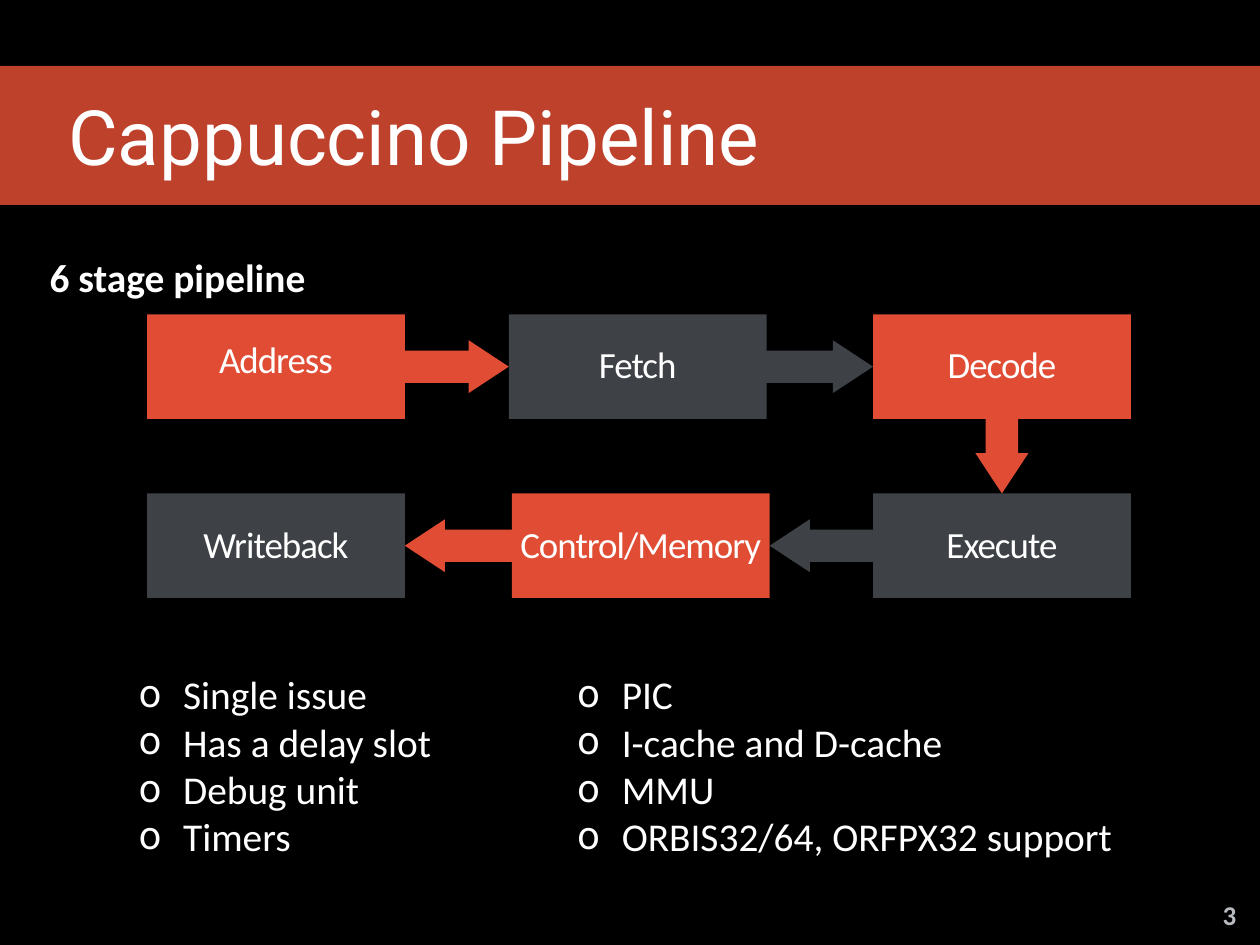
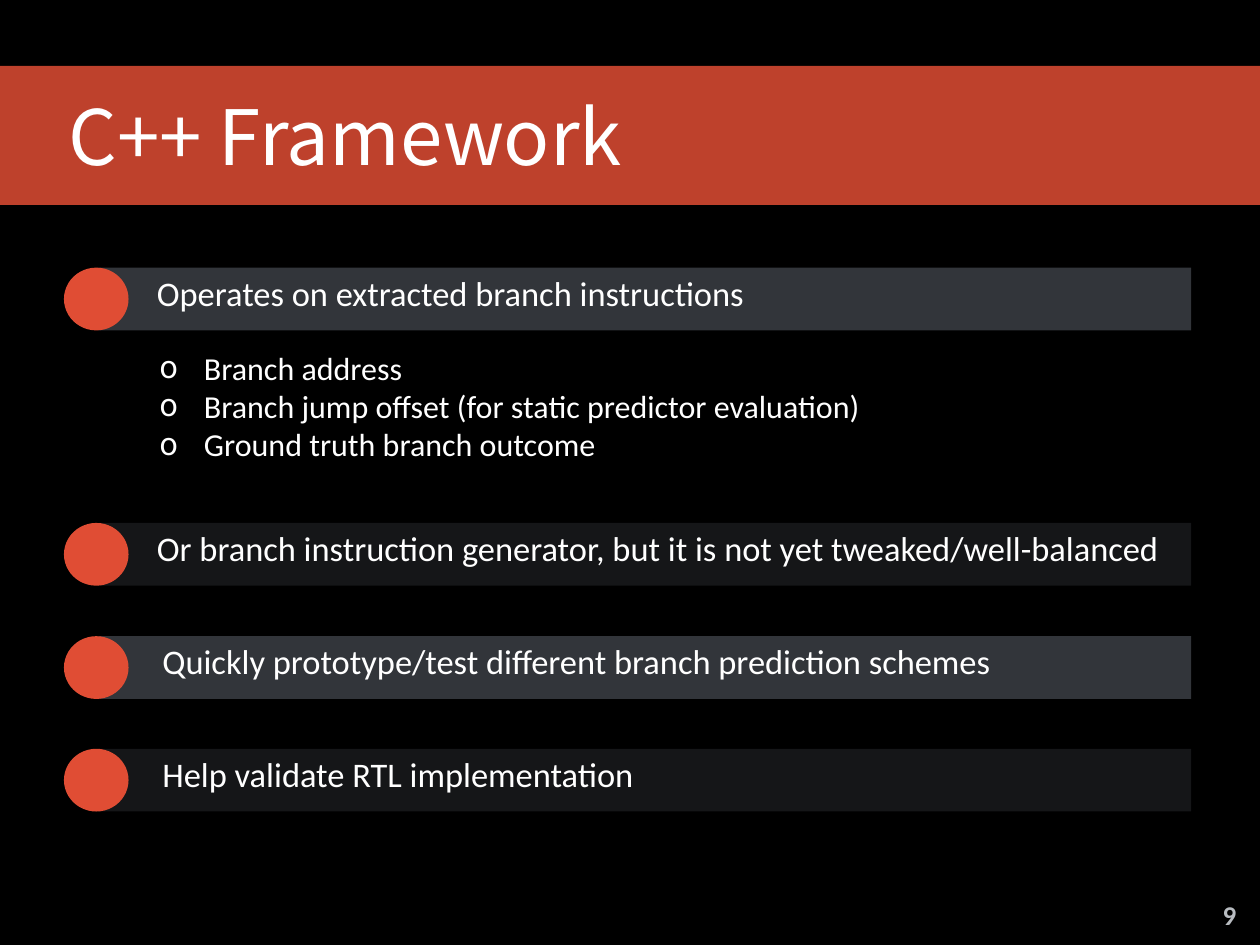
from dataclasses import dataclass

from lxml import etree
from pptx import Presentation
from pptx import util as u
from pptx.dml.color import RGBColor
from pptx.enum import shapes, text
from pptx.oxml.ns import qn

Pt = u.Pt
Kind = shapes.MSO_SHAPE
Align = text.PP_ALIGN
Anchor = text.MSO_ANCHOR


@dataclass(frozen=True)
class Theme:
    # Colours
    background: str = "000000"
    accent: str = "E04D34"
    slate: str = "3E4247"
    bar: str = "32353A"
    dark_bar: str = "151618"
    white: str = "FFFFFF"
    muted: str = "B8BCC1"
    # Fonts
    body_font: str = "Calibri"
    title_font: str = "Roboto"
    wide_title_font: str = "Noto Sans CJK SC"
    # Type sizes
    title: int = 62
    body: int = 32
    stage: int = 30
    row: int = 28
    detail: int = 26
    number: int = 22


THEME = Theme()


def add_bullet(paragraph):
    """Give a paragraph a round bullet with a hanging indent."""
    properties = paragraph._p.get_or_add_pPr()
    properties.set("marL", str(Pt(36)))
    properties.set("indent", str(-Pt(36)))
    colour = etree.SubElement(properties, qn("a:buClr"))
    etree.SubElement(colour, qn("a:srgbClr")).set("val", THEME.white)
    etree.SubElement(properties, qn("a:buFont")).set("typeface", THEME.title_font)
    etree.SubElement(properties, qn("a:buChar")).set("char", "o")


def write_text(frame, lines, *, size, font=THEME.body_font, colour=THEME.white,
               bold=False, align=Align.LEFT, anchor=Anchor.TOP, line_spacing=None,
               tracking=None, bullets=False, insets=(3.6, 3.6, 3.6, 3.6)):
    """Fill a text frame, one paragraph per line; insets run left, top, right, bottom."""
    frame.word_wrap = True
    frame.auto_size = text.MSO_AUTO_SIZE.NONE
    frame.vertical_anchor = anchor
    (frame.margin_left, frame.margin_top,
     frame.margin_right, frame.margin_bottom) = map(Pt, insets)
    for index, line in enumerate(lines):
        paragraph = frame.add_paragraph() if index else frame.paragraphs[0]
        paragraph.alignment = align
        if line_spacing:
            paragraph.line_spacing = Pt(line_spacing)
        if bullets:
            add_bullet(paragraph)
        run = paragraph.add_run()
        run.text = line
        run.font.name = font
        run.font.size = Pt(size)
        run.font.bold = bold
        run.font.color.rgb = RGBColor.from_string(colour)
        if tracking:
            run._r.get_or_add_rPr().set("spc", str(round(tracking * 100)))


class Deck:
    """Holds the presentation, its style and the current slide."""

    def __init__(self, theme):
        self.theme = theme
        self.presentation = Presentation()
        self.presentation.slide_width = Pt(1024)
        self.presentation.slide_height = Pt(768)
        fill = self.presentation.slide_master.background.fill
        fill.solid()
        fill.fore_color.rgb = RGBColor.from_string(theme.background)
        self.slide = None

    def new_slide(self, title, number, font):
        self.slide = self.presentation.slides.add_slide(
            self.presentation.slide_layouts.get_by_name("Title Only"))
        # Translucent band, kept behind the title
        band = self.shape(Kind.RECTANGLE, 0, 53.5, 1024, 113, self.theme.accent)
        colour = band._element.spPr.find(".//" + qn("a:srgbClr"))
        etree.SubElement(colour, qn("a:alpha")).set("val", "85000")
        self.slide.shapes._spTree.insert(2, band._element)
        # Title
        heading = self.slide.shapes.title
        heading.left, heading.top, heading.width, heading.height = map(
            Pt, (52, 68.5, 960, 83))
        write_text(heading.text_frame, [title], size=self.theme.title, font=font)
        # Slide number
        self.text_box(982, 726, 34.5, 34.5, [str(number)], size=self.theme.number,
                      colour=self.theme.muted, bold=True, align=Align.CENTER)

    def shape(self, kind, left, top, width, height, colour):
        shape = self.slide.shapes.add_shape(
            kind, *map(Pt, (left, top, width, height)))
        shape.shadow.inherit = False
        shape.fill.solid()
        shape.fill.fore_color.rgb = RGBColor.from_string(colour)
        shape.line.fill.background()
        return shape

    def text_box(self, left, top, width, height, lines, **text_format):
        box = self.slide.shapes.add_textbox(*map(Pt, (left, top, width, height)))
        text_format.setdefault("insets", (4.3,) * 4)
        write_text(box.text_frame, lines, **text_format)

    def bullet_list(self, left, top, width, height, lines, size):
        self.text_box(left, top, width, height, lines, size=size,
                      bullets=True, anchor=Anchor.MIDDLE)

    def arrow(self, kind, left, top, width, height, colour):
        arrow = self.shape(kind, left, top, width, height, colour)
        arrow.adjustments[0] = 0.61
        arrow.adjustments[1] = 0.76

    def pipeline(self, stages, width, height):
        """Draw stages (name, left, top, text inset) and an arrow to each next one."""
        thickness, overlap = 43, 2
        for index, (name, left, top, inset) in enumerate(stages):
            colour = self.theme.slate if index % 2 else self.theme.accent
            stage = self.shape(Kind.RECTANGLE, left, top, width, height, colour)
            write_text(stage.text_frame, [name], size=self.theme.stage, tracking=-0.8,
                       align=Align.CENTER, insets=(3.6, inset, 3.6, 3.6))
            if index + 1 == len(stages):
                break
            next_left, next_top = stages[index + 1][1:3]
            across = top + (height - thickness) / 2
            if next_top > top:
                start = top + height - overlap
                self.arrow(Kind.DOWN_ARROW, left + (width - thickness) / 2, start,
                           thickness, next_top - start, colour)
            elif next_left > left:
                start = left + width - overlap
                self.arrow(Kind.RIGHT_ARROW, start, across,
                           next_left - start, thickness, colour)
            else:
                end = next_left + width
                self.arrow(Kind.LEFT_ARROW, end, across,
                           left + overlap - end, thickness, colour)

    def bar_row(self, top, line, text_left, colour):
        """Draw a bar with its text and a round marker on its left end."""
        left, height = 80, 51
        bar = self.shape(Kind.RECTANGLE, left, top, 888, height, colour)
        write_text(bar.text_frame, [line], size=self.theme.row,
                   insets=(text_left - left, 3.6, 3.6, 3.6))
        self.shape(Kind.OVAL, 52, top, 52.5, height, self.theme.accent)


def pipeline_slide(deck):
    deck.new_slide("Cappuccino Pipeline", 3, THEME.title_font)
    deck.text_box(36, 156, 268.5, 93, ["6 stage pipeline"], size=THEME.body, bold=True,
                  anchor=Anchor.MIDDLE, line_spacing=84)
    # Stages: right along the upper row, back along the lower one
    upper, lower = 255.5, 401
    first, third = 119.5, 709.5
    deck.pipeline([
        ("Address", first, upper, 18),
        ("Fetch", 413.5, upper, 22.5),
        ("Decode", third, upper, 22.5),
        ("Execute", third, lower, 23),
        ("Control/Memory", 416, lower, 23),
        ("Writeback", first, lower, 23),
    ], 209.5, 85)
    # Features in two columns
    features = [
        (108.5, 249, ["Single issue", "Has a delay slot", "Debug unit", "Timers"]),
        (465, 455, ["PIC", "I-cache and D-cache", "MMU",
                    "ORBIS32/64, ORFPX32 support"]),
    ]
    for left, width, lines in features:
        deck.bullet_list(left, 540, width, 163.5, lines, THEME.body)


def framework_slide(deck):
    deck.new_slide("C++ Framework", 9, THEME.wide_title_font)
    # Bars in alternating shades
    rows = [
        (217.5, "Operates on extracted branch instructions", 127.5),
        (425, "Or branch instruction generator, but it is not yet "
              "tweaked/well-balanced", 127.5),
        (517, "Quickly prototype/test different branch prediction schemes", 132),
        (608.5, "Help validate RTL implementation", 132),
    ]
    for index, row in enumerate(rows):
        deck.bar_row(*row, THEME.dark_bar if index % 2 else THEME.bar)
    # Details of the first bar
    deck.bullet_list(125.5, 278.5, 587.5, 102.5, [
        "Branch address",
        "Branch jump offset (for static predictor evaluation)",
        "Ground truth branch outcome",
    ], THEME.detail)


def main():
    deck = Deck(THEME)
    pipeline_slide(deck)
    framework_slide(deck)
    deck.presentation.save("out.pptx")


if __name__ == "__main__":
    main()
